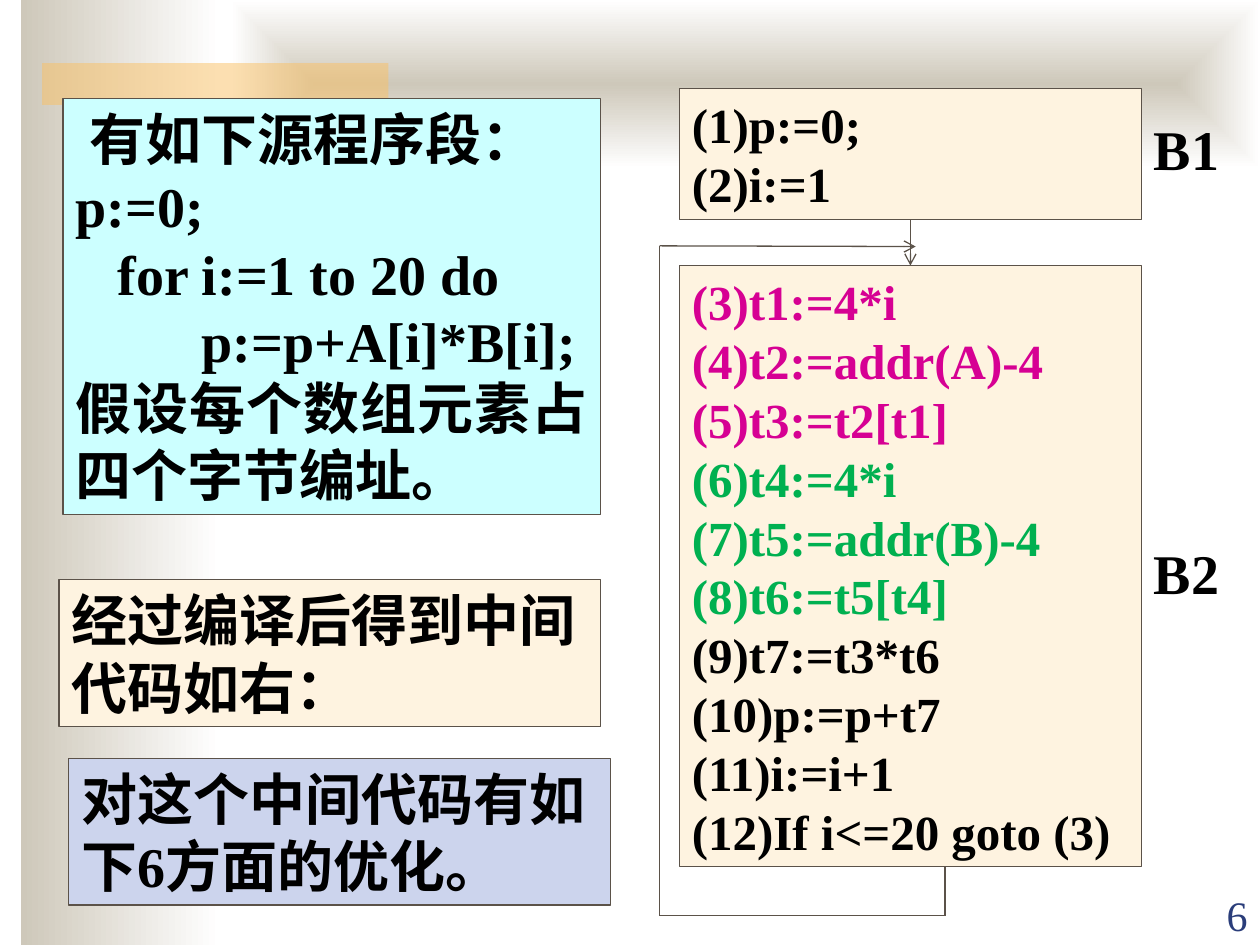
from lxml.etree import SubElement as Sub
from pptx import Presentation
from pptx.dml.color import RGBColor
from pptx.enum.shapes import MSO_CONNECTOR as Conn, MSO_SHAPE as Geo
from pptx.enum.text import MSO_ANCHOR as Anchor, MSO_AUTO_SIZE as Auto, PP_ALIGN as Align
from pptx.oxml.ns import qn
from pptx.util import Pt

INK, EDGE, SAND, CREAM = "000000", "5B5249", "CEC8BA", "FEF3E0"
PINK, GREEN = "D60093", "00B050"


def tint(code):
    return RGBColor.from_string(code)


def panel(area, lines, size=32, fill=None, bold=True, align=Align.LEFT):
    """Add a text panel; lines holds (text, colour) pairs."""
    place = [Pt(v) for v in area]
    if fill:
        box = slide.shapes.add_shape(Geo.RECTANGLE, *place)
        box.shadow.inherit = False
        box.fill.solid()
        box.fill.fore_color.rgb = tint(fill)
        box.line.color.rgb = tint(EDGE)
        box.line.width = Pt(0.75)
    else:
        box = slide.shapes.add_textbox(*place)
    frame = box.text_frame
    frame.word_wrap = True
    frame.auto_size = Auto.SHAPE_TO_FIT_TEXT
    frame.vertical_anchor = Anchor.TOP
    for i, (text, color) in enumerate(lines):
        para = frame.paragraphs[0] if i == 0 else frame.add_paragraph()
        para.text = text
        para.alignment = align
        font = para.font
        font.name, font.size, font.bold = "Times New Roman", Pt(size), bold
        font.color.rgb = tint(color)
    return frame


deck = Presentation()
deck.slide_width, deck.slide_height = Pt(720), Pt(540)
slide = deck.slides.add_slide(deck.slide_layouts[6])

# Background bands: left fade, top fade from the centre, gold strip
bands = []
for area in [(12, 0, 114, 540), (132, 0, 588, 96), (24, 36, 198, 24)]:
    band = slide.shapes.add_shape(Geo.RECTANGLE, *[Pt(v) for v in area])
    band.shadow.inherit = False
    band.line.fill.background()
    bands.append(band)
left, top, gold = bands
for band in (left, top):
    band.fill.gradient()
    band.fill.gradient_angle = 0
    for stop, pos, color in zip(band.fill.gradient_stops, (0, 1), (SAND, "FFFFFF")):
        stop.position = pos
        stop.color.rgb = tint(color)
grad = top._element.spPr.find(qn("a:gradFill"))
grad.remove(grad.find(qn("a:lin")))
focus = Sub(grad, qn("a:path"), {"path": "rect"})
Sub(focus, qn("a:fillToRect"), {side: "50000" for side in "ltrb"})
gold.fill.solid()
gold.fill.fore_color.rgb = tint("FAC164")
Sub(gold._element.spPr.find(".//" + qn("a:srgbClr")), qn("a:alpha"), {"val": "50000"})

# Page number
page = panel((648, 504.75, 72, 36), [("6", "2A3D7A")], 24, bold=False, align=Align.RIGHT)
page.auto_size = Auto.NONE
page.vertical_anchor = Anchor.BOTTOM

# Source program
source = [
    "有如下源程序段：",
    "p:=0;",
    "   for i:=1 to 20 do",
    "         p:=p+A[i]*B[i];",
    "假设每个数组元素占四个字节编址。",
]
intro = panel((36, 56.25, 307.25, 237.75), [(t, INK) for t in source],
              fill="CCFFFF", align=Align.JUSTIFY)
intro.paragraphs[0]._p.get_or_add_pPr().set("indent", str(Pt(8)))

# Remarks
panel((33.75, 331.25, 309.5, 84), [("经过编译后得到中间代码如右：", INK)], fill=CREAM)
panel((39.25, 433.25, 309.5, 84), [("对这个中间代码有如下6方面的优化。", INK)], fill="CCD4ED")

# Basic blocks of intermediate code
start = ["(1)p:=0;", "(2)i:=1"]
loop = [
    ("(3)t1:=4*i", PINK),
    ("(4)t2:=addr(A)-4", PINK),
    ("(5)t3:=t2[t1]", PINK),
    ("(6)t4:=4*i", GREEN),
    ("(7)t5:=addr(B)-4", GREEN),
    ("(8)t6:=t5[t4]", GREEN),
    ("(9)t7:=t3*t6", INK),
    ("(10)p:=p+t7", INK),
    ("(11)i:=i+1", INK),
    ("(12)If i<=20 goto (3)", INK),
]
panel((388.25, 50.5, 264, 74.75), [(t, INK) for t in start], 28, CREAM)
panel((388.25, 151.75, 264, 343.5), loop, 28, CREAM)

# Block names
for name, y in [("B1", 62), ("B2", 304)]:
    panel((652.25, y, 78.5, 46), [(name, INK)])

# Flow: down into the loop, and back from its end
flow = [
    (520.25, 125.5, 520.25, 151.75, True),
    (377, 140.5, 523.25, 140.9, True),
    (377, 140.5, 377, 523.25, False),
    (377, 523.25, 540, 523.25, False),
    (540, 523.25, 540, 495.25, False),
]
for *ends, arrow in flow:
    link = slide.shapes.add_connector(Conn.STRAIGHT, *[Pt(v) for v in ends])
    link.line.color.rgb = tint(EDGE)
    link.line.width = Pt(0.75)
    if arrow:
        Sub(link.line._get_or_add_ln(), qn("a:tailEnd"), {"type": "arrow"})
    Sub(link._element.spPr, qn("a:effectLst"))

deck.save("out.pptx")
